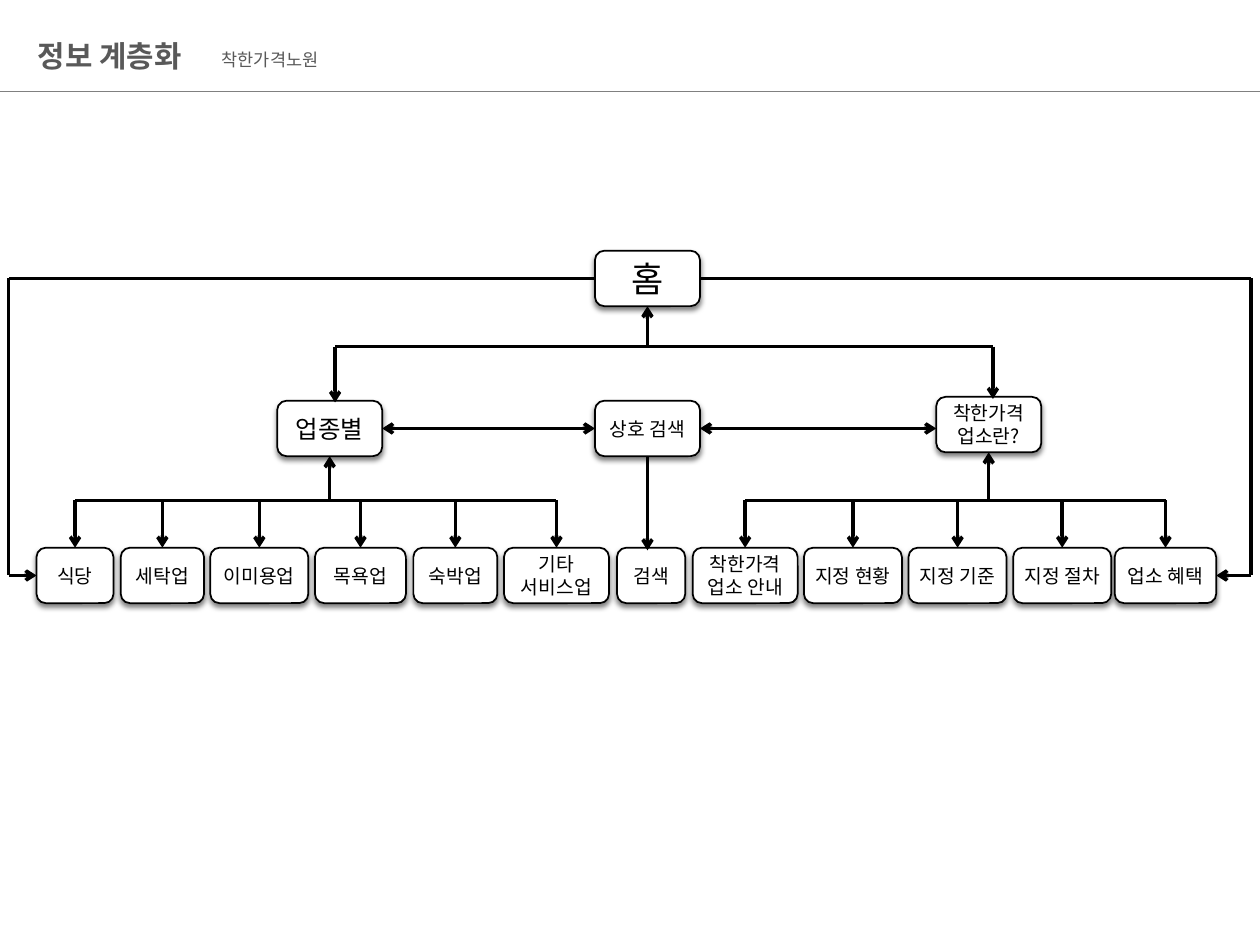
from dataclasses import dataclass
from typing import Any

from lxml import etree
from pptx import Presentation
from pptx import util as u
from pptx.dml.color import RGBColor
from pptx.enum import shapes, text
from pptx.oxml import ns


@dataclass(frozen=True)
class Theme:
    font: str = "Noto Sans CJK KR"
    ink: RGBColor = RGBColor(0, 0, 0)
    paper: RGBColor = RGBColor(255, 255, 255)
    heading: RGBColor = RGBColor(0x59, 0x59, 0x59)
    rule: RGBColor = RGBColor(0x80, 0x80, 0x80)
    title_size: float = 17
    subtitle_size: float = 10
    home_size: float = 20
    category_size: float = 14
    node_size: float = 11


@dataclass(frozen=True)
class Port:
    x: float
    y: float
    shape: Any = None
    site: int = 0


TOP, LEFT, BOTTOM, RIGHT = range(4)


def port(sp, site):
    fx, fy = ((0.5, 0), (0, 0.5), (0.5, 1), (1, 0.5))[site]
    return Port((sp.left + sp.width * fx) / u.Pt(1),
                (sp.top + sp.height * fy) / u.Pt(1), sp, site)


class SiteMap:
    def __init__(self, s, theme):
        self.s = s
        self.theme = theme

    def label(self, sp, words, size, color, margin, bold=False):
        tf = sp.text_frame
        tf.word_wrap = True
        tf.margin_left = tf.margin_right = u.Pt(margin)
        tf.margin_top = tf.margin_bottom = u.Pt(margin)
        tf.text = words
        p = tf.paragraphs[0]
        r = p.runs[0]
        r.font.name = self.theme.font
        r.font.size = u.Pt(size)
        r.font.bold = bold
        r.font.color.rgb = color
        ea = etree.SubElement(r.font._element, ns.qn("a:ea"))
        ea.set("typeface", self.theme.font)
        return p

    def heading(self, words, x, y, h, size, bold=False):
        sp = self.s.shapes.add_textbox(u.Pt(x), u.Pt(y), u.Pt(217), u.Pt(h))
        self.label(sp, words, size, self.theme.heading, 3, bold)

    def node(self, words, x, y, w, size=None):
        sp = self.s.shapes.add_shape(
            shapes.MSO_SHAPE.ROUNDED_RECTANGLE,
            u.Pt(x), u.Pt(y), u.Pt(w), u.Pt(31.7))
        sp.fill.solid()
        sp.fill.fore_color.rgb = self.theme.paper
        sp.line.color.rgb = self.theme.ink
        sp.line.width = u.Pt(1)
        self.shade(sp)
        p = self.label(sp, words, size or self.theme.node_size, self.theme.ink, 4)
        p.alignment = text.PP_ALIGN.CENTER
        sp.text_frame.margin_top = sp.text_frame.margin_bottom = 0
        sp.text_frame.vertical_anchor = text.MSO_ANCHOR.MIDDLE
        return sp

    def shade(self, sp):
        sp.shadow.inherit = False
        effects = sp._element.spPr.find(ns.qn("a:effectLst"))
        shadow = etree.SubElement(
            effects, ns.qn("a:outerShdw"), blurRad=str(u.Pt(3)),
            dist=str(u.Pt(2)), dir="5400000", rotWithShape="0")
        color = etree.SubElement(shadow, ns.qn("a:srgbClr"), val=str(self.theme.ink))
        etree.SubElement(color, ns.qn("a:alpha"), val="50000")

    def line(self, start, end, ends=(), width=2, color=None):
        c = self.s.shapes.add_connector(
            shapes.MSO_CONNECTOR.STRAIGHT,
            u.Pt(start.x), u.Pt(start.y), u.Pt(end.x), u.Pt(end.y))
        if start.shape is not None:
            c.begin_connect(start.shape, start.site)
        if end.shape is not None:
            c.end_connect(end.shape, end.site)
        c.line.width = u.Pt(width)
        c.line.color.rgb = color or self.theme.ink
        ln = c.line._get_or_add_ln()
        for tag in ends:
            etree.SubElement(ln, ns.qn(f"a:{tag}"), type="arrow")
        etree.SubElement(c._element.spPr, ns.qn("a:effectLst"))

    def arrow(self, start, end):
        self.line(start, end, ("tailEnd",))

    def two_way(self, start, end):
        self.line(start, end, ("headEnd", "tailEnd"))

    def branch(self, parent, children, y):
        tops = [port(child, TOP) for child in children]
        self.line(Port(tops[0].x, y), Port(tops[-1].x, y))
        up = port(parent, BOTTOM)
        self.arrow(Port(up.x, y), up)
        for top in tops:
            self.arrow(Port(top.x, y), top)

    def side_route(self, home, site, edge_x, leaf):
        start, end = port(home, site), port(leaf, site)
        upper, lower = Port(edge_x, start.y), Port(edge_x, end.y)
        self.line(start, upper)
        self.line(upper, lower)
        self.arrow(lower, end)


def main():
    prs = Presentation()
    prs.slide_width, prs.slide_height = u.Pt(720), u.Pt(540)
    theme = Theme()
    site = SiteMap(prs.slides.add_slide(prs.slide_layouts[6]), theme)

    site.line(Port(0, 52), Port(720, 52), width=0.25, color=theme.rule)
    site.heading("정보 계층화", 18.7, 18.7, 26.6, theme.title_size, bold=True)
    site.heading("착한가격노원", 123.8, 25.2, 18, theme.subtitle_size)

    home = site.node("홈", 340, 143.3, 60, theme.home_size)
    by_type = site.node("업종별", 158.4, 229, 60, theme.category_size)
    search = site.node("상호 검색", 340, 229, 60)
    about = site.node("착한가격업소란?", 535, 226.8, 60)

    leaves = [site.node(words, x, 313, w) for words, x, w in (
        ("식당", 20.9, 44),
        ("세탁업", 69, 47.6),
        ("이미용업", 120.2, 56),
        ("목욕업", 180, 52),
        ("숙박업", 236.2, 48),
        ("기타 서비스업", 288, 60),
        ("검색", 352.6, 39),
        ("착한가격업소 안내", 395.8, 60),
        ("지정 현황", 459.4, 56),
        ("지정 기준", 519.2, 56),
        ("지정 절차", 579, 56),
        ("업소 혜택", 637, 58),
    )]

    bus_y, left_x, right_x = 198, 191.5, 567.4
    site.line(Port(left_x, bus_y), Port(right_x, bus_y))
    home_bottom = port(home, BOTTOM)
    site.arrow(Port(home_bottom.x, bus_y), home_bottom)
    site.arrow(Port(left_x, bus_y), Port(left_x, 230))
    site.arrow(Port(right_x, bus_y), Port(right_x, 228))

    site.branch(by_type, leaves[:6], 286)
    site.branch(about, leaves[7:], 286)
    site.arrow(port(search, BOTTOM), Port(370, 314.5))

    search_right = port(search, RIGHT)
    site.two_way(port(by_type, RIGHT), port(search, LEFT))
    site.two_way(search_right, Port(535, search_right.y))

    site.side_route(home, LEFT, 5, leaves[0])
    site.side_route(home, RIGHT, 715, leaves[-1])

    prs.save("out.pptx")


if __name__ == "__main__":
    main()
